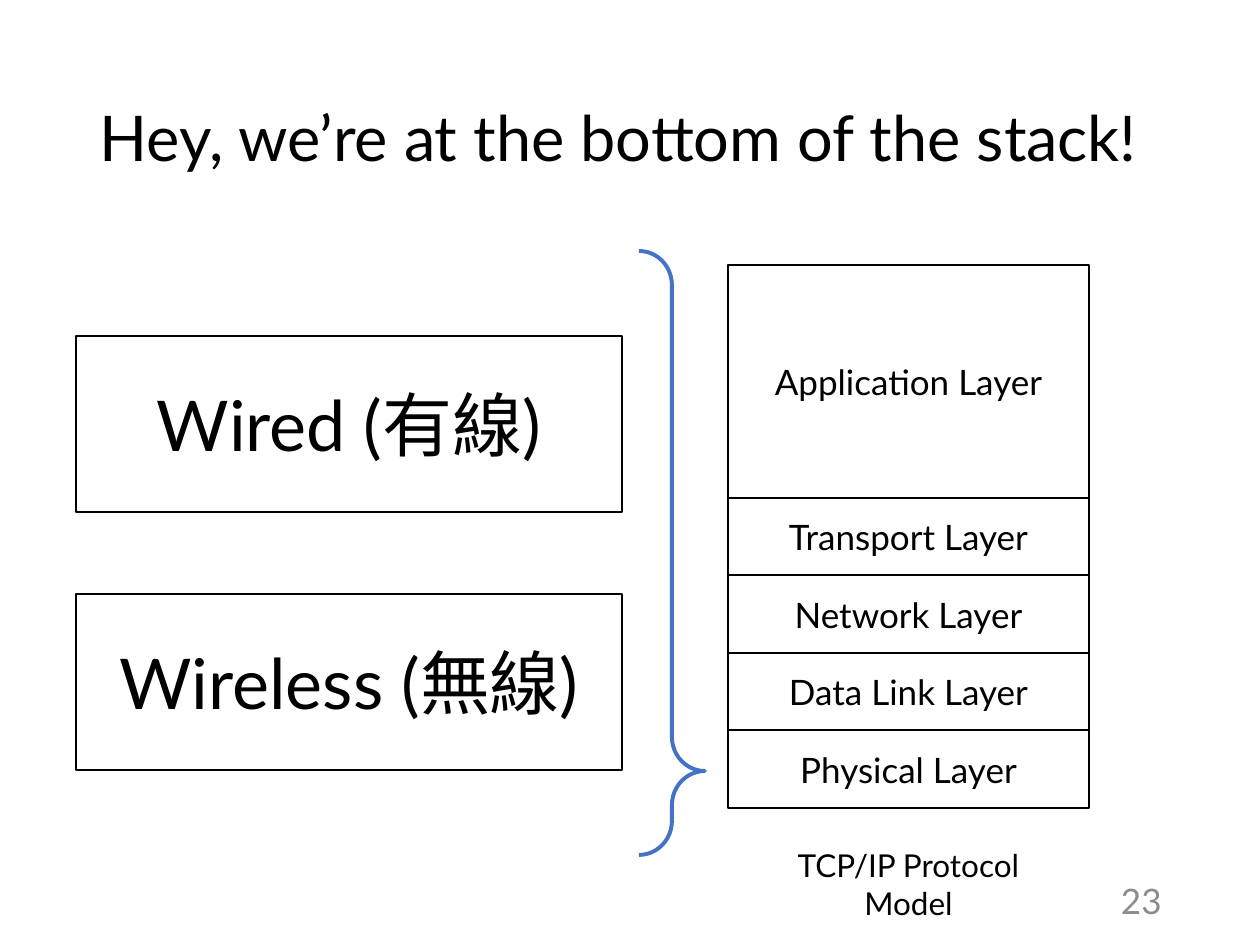
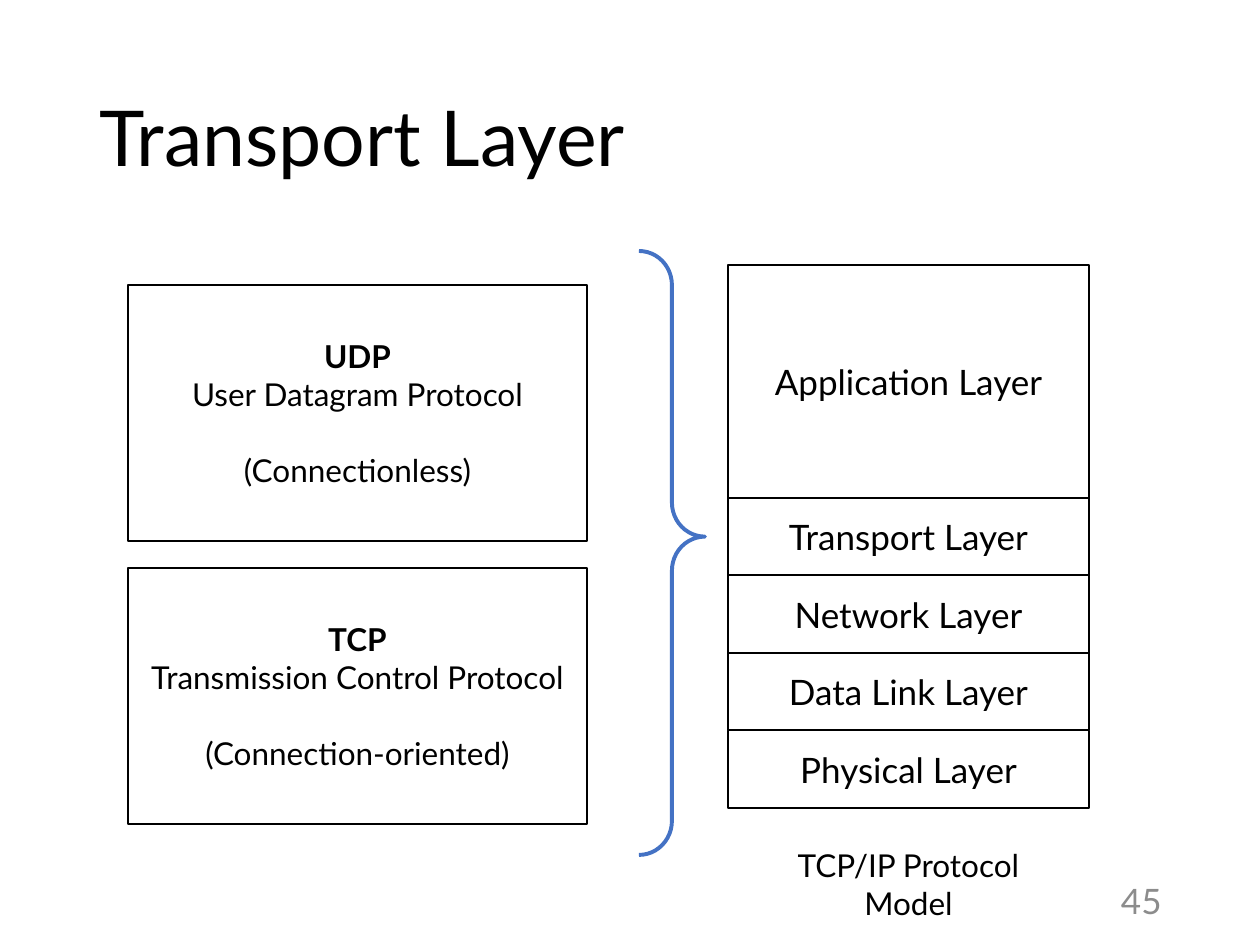
from pptx import Presentation
from pptx import util as u
from pptx.dml.color import RGBColor
from pptx.enum import shapes, text

PX = 914400 / 126
FONT = "Lato"
COLORS = {"ink": "000000", "paper": "FFFFFF", "brace": "4472C4", "number": "8C8C8C"}

TITLE_BOX = (87, 50, 1086, 183)
NUMBER_BOX = (1090, 876, 84, 50)
STACK_BOX = (728, 265, 361, 543)
CAPTION_BOX = (738, 840, 341, 50)
BRACE_BOX = (639, 251, 66, 604)
LAYERS = [
    ("Application Layer", 3),
    ("Transport Layer", 1),
    ("Network Layer", 1),
    ("Data Link Layer", 1),
    ("Physical Layer", 1),
]


def px(*lengths):
    return [round(n * PX) for n in lengths]


def color(name):
    return RGBColor.from_string(COLORS[name])


def write(p, words, size, ink="ink", align=text.PP_ALIGN.CENTER, bold=False):
    p.alignment = align
    r = p.add_run()
    r.text = words
    r.font.name = FONT
    r.font.size = u.Pt(size)
    r.font.bold = bold
    r.font.color.rgb = color(ink)


def add_text(s, box, words, size, **style):
    tf = s.shapes.add_textbox(*px(*box)).text_frame
    tf.word_wrap = True
    write(tf.paragraphs[0], words, size, **style)
    return tf


def add_box(parent, box):
    sp = parent.add_shape(shapes.MSO_SHAPE.RECTANGLE, *px(*box))
    sp.shadow.inherit = False
    sp.fill.solid()
    sp.fill.fore_color.rgb = color("paper")
    sp.line.color.rgb = color("ink")
    sp.line.width = u.Pt(1)
    tf = sp.text_frame
    tf.word_wrap = True
    tf.vertical_anchor = text.MSO_ANCHOR.MIDDLE
    return tf


def add_title(s, box, words, size):
    sp = s.shapes.title
    sp.left, sp.top, sp.width, sp.height = px(*box)
    tf = sp.text_frame
    tf.auto_size = text.MSO_AUTO_SIZE.NONE
    tf.vertical_anchor = text.MSO_ANCHOR.MIDDLE
    p = tf.paragraphs[0]
    p.line_spacing = 0.9
    write(p, words, size, align=text.PP_ALIGN.LEFT)


def add_number(s, box, number):
    tf = add_text(s, box, str(number), 20, ink="number", align=text.PP_ALIGN.RIGHT)
    tf.vertical_anchor = text.MSO_ANCHOR.MIDDLE


def add_stack(s, box):
    left, top, width, height = box
    unit = height / sum(share for _, share in LAYERS)
    group = s.shapes.add_group_shape()
    for name, share in LAYERS:
        tf = add_box(group.shapes, (left, top, width, share * unit))
        write(tf.paragraphs[0], name, 20)
        top += share * unit


def add_caption(s, box):
    tf = add_text(s, box, "TCP/IP Protocol Model", 18)
    tf.margin_left, tf.margin_right = px(24, 24)


def add_brace(s, box, tip):
    sp = s.shapes.add_shape(shapes.MSO_SHAPE.RIGHT_BRACE, *px(*box))
    sp.adjustments[0] = 0.516
    sp.adjustments[1] = tip
    sp.shadow.inherit = False
    sp.fill.background()
    sp.line.color.rgb = color("brace")
    sp.line.width = u.Pt(2.25)


def add_media(s, box, gap, media):
    left, top, width, height = box
    for i, name in enumerate(media):
        tf = add_box(s.shapes, (left, top + i * (height + gap), width, height))
        write(tf.paragraphs[0], name, 40)


def add_protocols(s, box, gap, protocols):
    left, top, width, height = box
    for i, (short, full, kind) in enumerate(protocols):
        tf = add_box(s.shapes, (left, top + i * (height + gap), width, height))
        write(tf.paragraphs[0], short, 18, bold=True)
        write(tf.add_paragraph(), full, 18)
        p = tf.add_paragraph()
        p.space_before = u.Pt(21.6)
        write(p, kind, 18)


def add_layer_slide(prs, title, title_size, number, tip):
    s = prs.slides.add_slide(prs.slide_layouts[5])
    add_title(s, TITLE_BOX, title, title_size)
    add_number(s, NUMBER_BOX, number)
    add_stack(s, STACK_BOX)
    add_caption(s, CAPTION_BOX)
    add_brace(s, BRACE_BOX, tip)
    return s


def main():
    prs = Presentation()
    prs.slide_width, prs.slide_height = px(1260, 945)

    s = add_layer_slide(prs, "Hey, we’re at the bottom of the stack!", 36, 23, 0.861)
    add_media(s, (76, 336, 546, 176), 82, ["Wired (有線)", "Wireless (無線)"])

    s = add_layer_slide(prs, "Transport Layer", 44, 45, 0.473)
    add_protocols(s, (128, 285, 459, 256), 27, [
        ("UDP", "User Datagram Protocol", "(Connectionless)"),
        ("TCP", "Transmission Control Protocol", "(Connection-oriented)"),
    ])

    prs.save("out.pptx")


if __name__ == "__main__":
    main()
